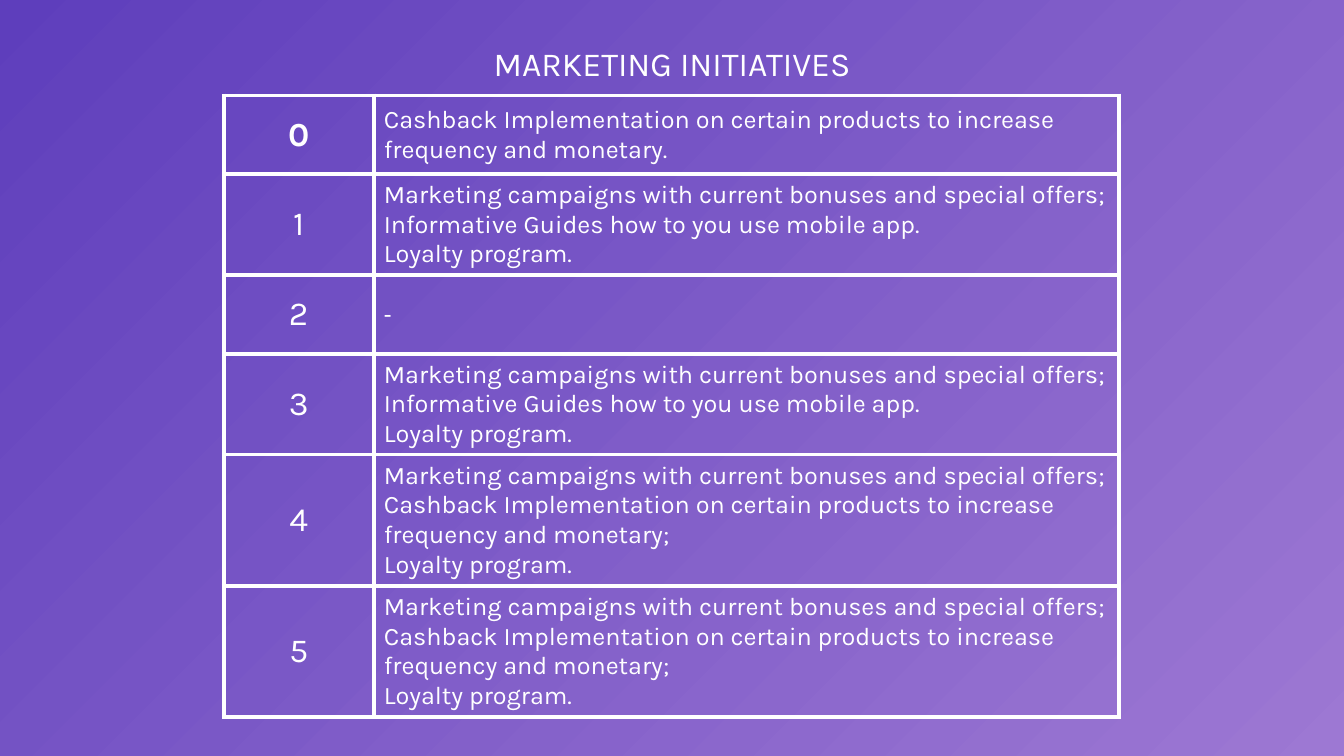
from dataclasses import dataclass

from lxml import etree
from pptx import Presentation
from pptx.dml.color import RGBColor
from pptx.enum import text
from pptx.oxml import ns
from pptx.util import Pt

PX = 9525  # EMU per px, 96 px to the inch
WHITE = "FFFFFF"
FONT = "Karla"

CASHBACK = "Cashback Implementation on certain products to increase frequency and monetary"
OFFERS = "Marketing campaigns with current bonuses and special offers;"
GUIDES = "Informative Guides how to you use mobile app."
LOYALTY = "Loyalty program."
GUIDED = (OFFERS, GUIDES, LOYALTY)
REWARDS = (OFFERS, CASHBACK + ";", LOYALTY)


@dataclass(frozen=True)
class Group:
    lines: tuple[str, ...]
    height: int
    bold: bool = False
    font: str = FONT


GROUPS = [
    Group((CASHBACK + ".",), 75, bold=True),
    Group(GUIDED, 96),
    Group(("-",), 75, font="Calibri"),
    Group(GUIDED, 96),
    Group(REWARDS, 125),
    Group(REWARDS, 125),
]
WIDTHS = (143, 710)


def px(count: int) -> int:
    return count * PX


def color(code: str) -> RGBColor:
    return RGBColor.from_string(code)


def write(frame, lines: tuple[str, ...], size: int, align,
          font: str = FONT, bold: bool = False) -> None:
    for i, line in enumerate(lines):
        para = frame.add_paragraph() if i else frame.paragraphs[0]
        para.alignment = align
        run = para.add_run()
        run.text = line
        run.font.name = font
        run.font.size = Pt(size)
        run.font.bold = bold
        run.font.color.rgb = color(WHITE)


def border(cell, code: str, width: int) -> None:
    """Line all four sides; the lines must come before the fill in tcPr."""
    props = cell._tc.get_or_add_tcPr()
    for i, side in enumerate("LRTB"):
        line = etree.Element(ns.qn(f"a:ln{side}"), w=str(Pt(width)))
        fill = etree.SubElement(line, ns.qn("a:solidFill"))
        etree.SubElement(fill, ns.qn("a:srgbClr"), val=code)
        props.insert(i, line)


def paint(slide) -> None:
    fill = slide.background.fill
    fill.gradient()
    fill.gradient_angle = 315
    for stop, code in zip(fill.gradient_stops, ("5E3EBC", "9D78D3")):
        stop.color.rgb = color(code)


def head(slide) -> None:
    title = slide.shapes.title
    title.left, title.top = px(344), px(36)
    title.width, title.height = px(592), px(48)
    frame = title.text_frame
    frame.auto_size = text.MSO_AUTO_SIZE.NONE
    frame.vertical_anchor = text.MSO_ANCHOR.TOP
    write(frame, ("MARKETING INITIATIVES",), 24, text.PP_ALIGN.CENTER)


def grid(slide) -> None:
    tall = sum(group.height for group in GROUPS)
    table = slide.shapes.add_table(
        len(GROUPS), len(WIDTHS), px(213), px(91), px(sum(WIDTHS)), px(tall)
    ).table
    table.first_row = table.horz_banding = False
    for column, width in zip(table.columns, WIDTHS):
        column.width = px(width)
    for i, group in enumerate(GROUPS):
        table.rows[i].height = px(group.height)
        label, plan = table.cell(i, 0), table.cell(i, 1)
        write(label.text_frame, (str(i),), 24, text.PP_ALIGN.CENTER, bold=group.bold)
        write(plan.text_frame, group.lines, 18, text.PP_ALIGN.LEFT, group.font)
        for cell in (label, plan):
            cell.vertical_anchor = text.MSO_ANCHOR.MIDDLE
            cell.fill.background()
            border(cell, WHITE, 3)


def main() -> None:
    deck = Presentation()
    deck.slide_width, deck.slide_height = px(1280), px(720)
    slide = deck.slides.add_slide(deck.slide_layouts.get_by_name("Title Only"))
    paint(slide)
    head(slide)
    grid(slide)
    deck.save("out.pptx")


if __name__ == "__main__":
    main()
